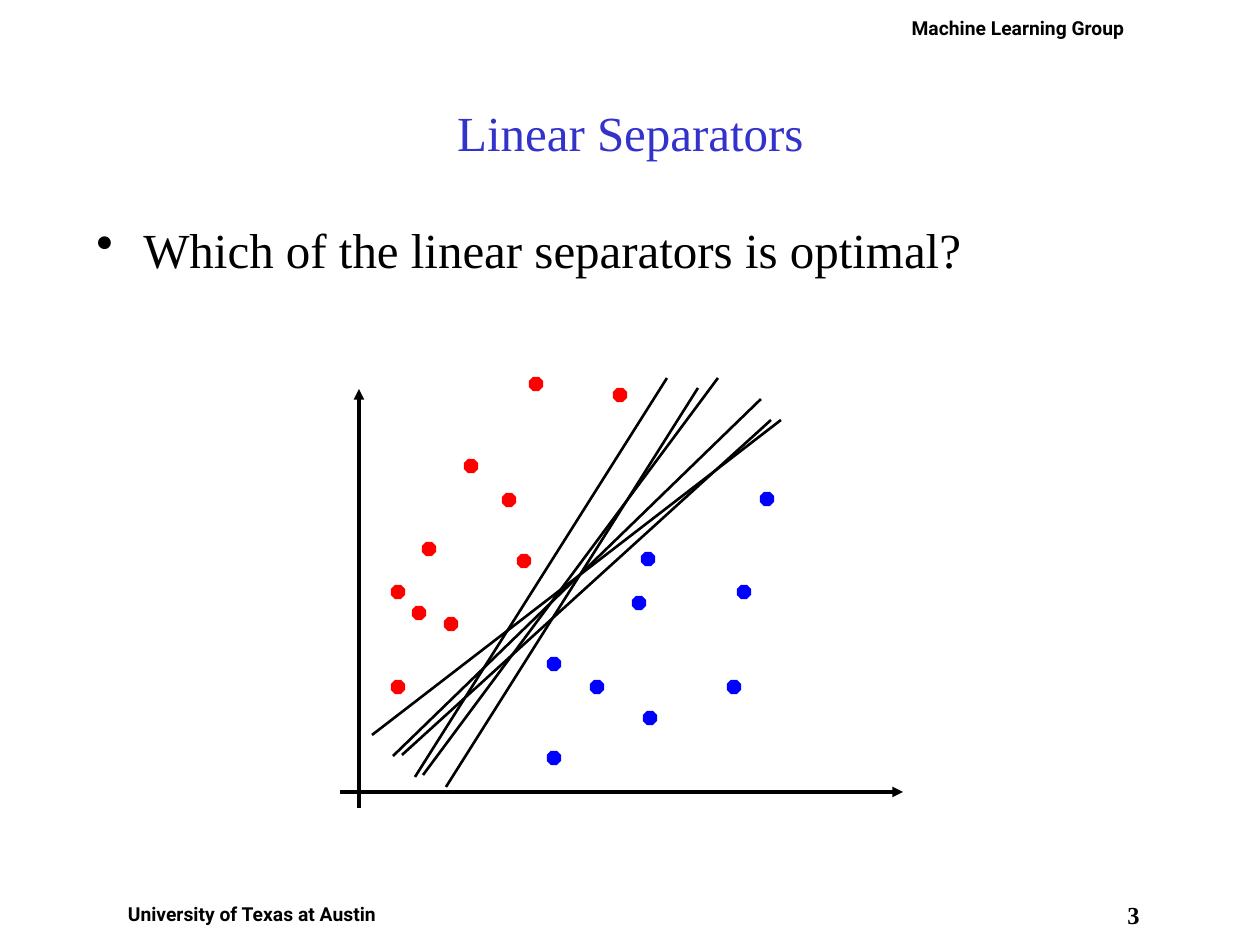
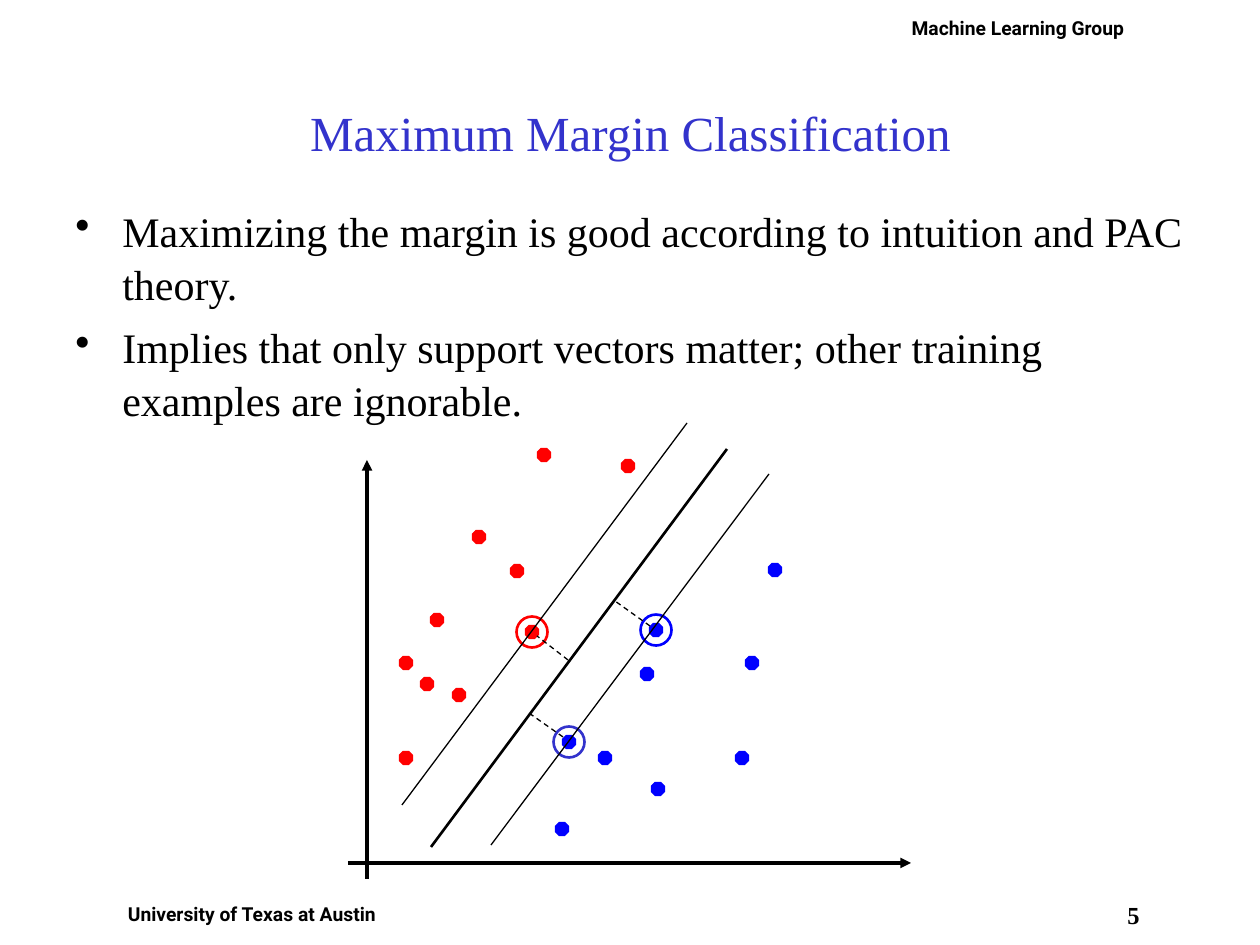
from pptx import Presentation
from pptx.dml.color import RGBColor
from pptx.enum.dml import MSO_LINE as Dash
from pptx.enum.shapes import MSO_CONNECTOR as Conn, MSO_SHAPE as Geo
from pptx.enum.text import MSO_ANCHOR as Anchor, PP_ALIGN as Align
from pptx.oxml.ns import qn
from pptx.oxml.xmlchemy import OxmlElement as Elem
from pptx.util import Emu, Pt

BLACK = RGBColor(0x00, 0x00, 0x00)
WHITE = RGBColor(0xFF, 0xFF, 0xFF)
TITLE = RGBColor(0x33, 0x33, 0xCC)
RED = RGBColor(0xFF, 0x00, 0x00)
BLUE = RGBColor(0x00, 0x00, 0xFF)
SERIF, SANS = "Times New Roman", "Roboto"
DOT, RING = 13, 31

# Data points, in px right of and above the origin of the axes
REDS = [(150, 292), (70, 243), (92, 168), (39, 105), (112, 326),
        (39, 200), (60, 179), (165, 231), (177, 408), (261, 397)]
BLUES = [(289, 233), (238, 105), (375, 105), (195, 34), (280, 189),
         (291, 74), (385, 200), (408, 293)]


def px(n):
    return Emu(round(n * 914400 / 126))


class Deck:
    def __init__(self):
        self.prs = Presentation()
        self.prs.slide_width, self.prs.slide_height = px(1260), px(945)

    # Text
    def run(self, para, text, size, color=BLACK, face=SERIF, bold=False):
        run = para.add_run()
        run.text = text
        font = run.font
        font.name, font.size, font.bold = face, Pt(size), bold
        font.color.rgb = color

    def label(self, text, box, size, face, pad):
        shape = self.shape(Geo.RECTANGLE, box, WHITE)
        frame = shape.text_frame
        frame.word_wrap = True
        frame.vertical_anchor = Anchor.TOP
        frame.margin_left = frame.margin_right = px(pad)
        frame.margin_top = frame.margin_bottom = px(pad)
        para = frame.paragraphs[0]
        para.alignment = Align.CENTER
        self.run(para, text, size, face=face, bold=True)

    def frame(self, *box):
        box = self.shapes.add_textbox(*map(px, box))
        box.text_frame.word_wrap = True
        return box.text_frame

    def title(self, text):
        frame = self.frame(95, 53, 1071, 157)
        frame.vertical_anchor = Anchor.MIDDLE
        para = frame.paragraphs[0]
        para.alignment = Align.CENTER
        self.run(para, text, 28, TITLE)

    def body(self, left, top, size, items):
        frame = self.frame(left, top, 1134, 693)
        for i, item in enumerate(items):
            para = frame.add_paragraph() if i else frame.paragraphs[0]
            para.line_spacing = 1.05
            para.space_before = Pt(size / 4)
            props = para._p.get_or_add_pPr()
            props.set("marL", str(px(47)))
            props.set("indent", str(px(-47)))
            mark = Elem("a:buChar")
            mark.set("char", "•")
            props.append(mark)
            self.run(para, item, size)

    # Shapes and lines
    def shape(self, geo, box, fill=None, edge=None, width=0.75):
        shape = self.shapes.add_shape(geo, *map(px, box))
        shape.shadow.inherit = False
        if fill is None:
            shape.fill.background()
        else:
            shape.fill.solid()
            shape.fill.fore_color.rgb = fill
        if edge is None:
            shape.line.fill.background()
        else:
            shape.line.color.rgb = edge
            shape.line.width = Pt(width)
        return shape

    def spot(self, geo, at, size, **style):
        x, y = self.place(at)
        self.shape(geo, (x - size / 2, y - size / 2, size, size), **style)

    def dots(self, points, color):
        for at in points:
            self.spot(Geo.OCTAGON, at, DOT, fill=color, edge=color)

    def ring(self, at, color):
        self.spot(Geo.OVAL, at, RING, edge=color, width=1.5)

    def place(self, at):
        return self.zero[0] + at[0], self.zero[1] - at[1]

    def line(self, start, end, width=1.5, dash=False, arrow=False):
        ends = map(px, self.place(start) + self.place(end))
        line = self.shapes.add_connector(Conn.STRAIGHT, *ends)
        line.line.color.rgb = BLACK
        line.line.width = Pt(width)
        if dash:
            line.line.dash_style = Dash.DASH
        props = line._element.spPr
        if arrow:
            tip = Elem("a:tailEnd")
            tip.set("type", "triangle")
            props.find(qn("a:ln")).append(tip)
        props.append(Elem("a:effectLst"))

    # Shared parts
    def slide(self, number, title):
        slide = self.prs.slides.add_slide(self.prs.slide_layouts[6])
        self.shapes = slide.shapes
        self.label(number, (1113, 900, 41, 45), 14, SERIF, 0)
        self.label("University of Texas at Austin", (105, 896, 294, 37), 11, SANS, 6)
        self.label("Machine Learning Group", (892, 10, 252, 37), 11, SANS, 6)
        self.title(title)

    def plot(self, x, y, near):
        self.zero = x, y
        self.line((0, -16), (0, 403), 2, arrow=True)
        self.line((-19, 0), (544, 0), 2, arrow=True)
        self.dots(REDS, RED)
        self.dots(BLUES + [near], BLUE)


def main():
    deck = Deck()

    # Many possible separators
    deck.slide("3", "Linear Separators")
    deck.body(84, 210, 28, ["Which of the linear separators is optimal?"])
    deck.plot(359, 792, (195, 128))
    for start, end in [((43, 37), (412, 372)), ((64, 17), (359, 414)),
                       ((13, 57), (422, 372)), ((87, 5), (339, 404)),
                       ((56, 15), (308, 414)), ((34, 36), (402, 393))]:
        deck.line(start, end)

    # The separator with the widest margin
    deck.slide("5", "Maximum Margin Classification")
    deck.body(63, 197, 24, [
        "Maximizing the margin is good according to intuition and PAC theory.",
        "Implies that only support vectors matter; other training examples are ignorable."])
    near = (202, 121)
    deck.plot(367, 863, near)
    deck.line((64, 16), (360, 414))
    for at, color in [((165, 231), RED), (near, TITLE), ((289, 233), BLUE)]:
        deck.ring(at, color)
    for start, end in [((283, 237), (248, 262)), ((196, 126), (162, 150)),
                       ((201, 203), (170, 227))]:
        deck.line(start, end, 0.75, dash=True)
    for start, end in [((124, 18), (402, 389)), ((35, 58), (320, 440))]:
        deck.line(start, end, 0.75)

    deck.prs.save("out.pptx")


if __name__ == "__main__":
    main()
